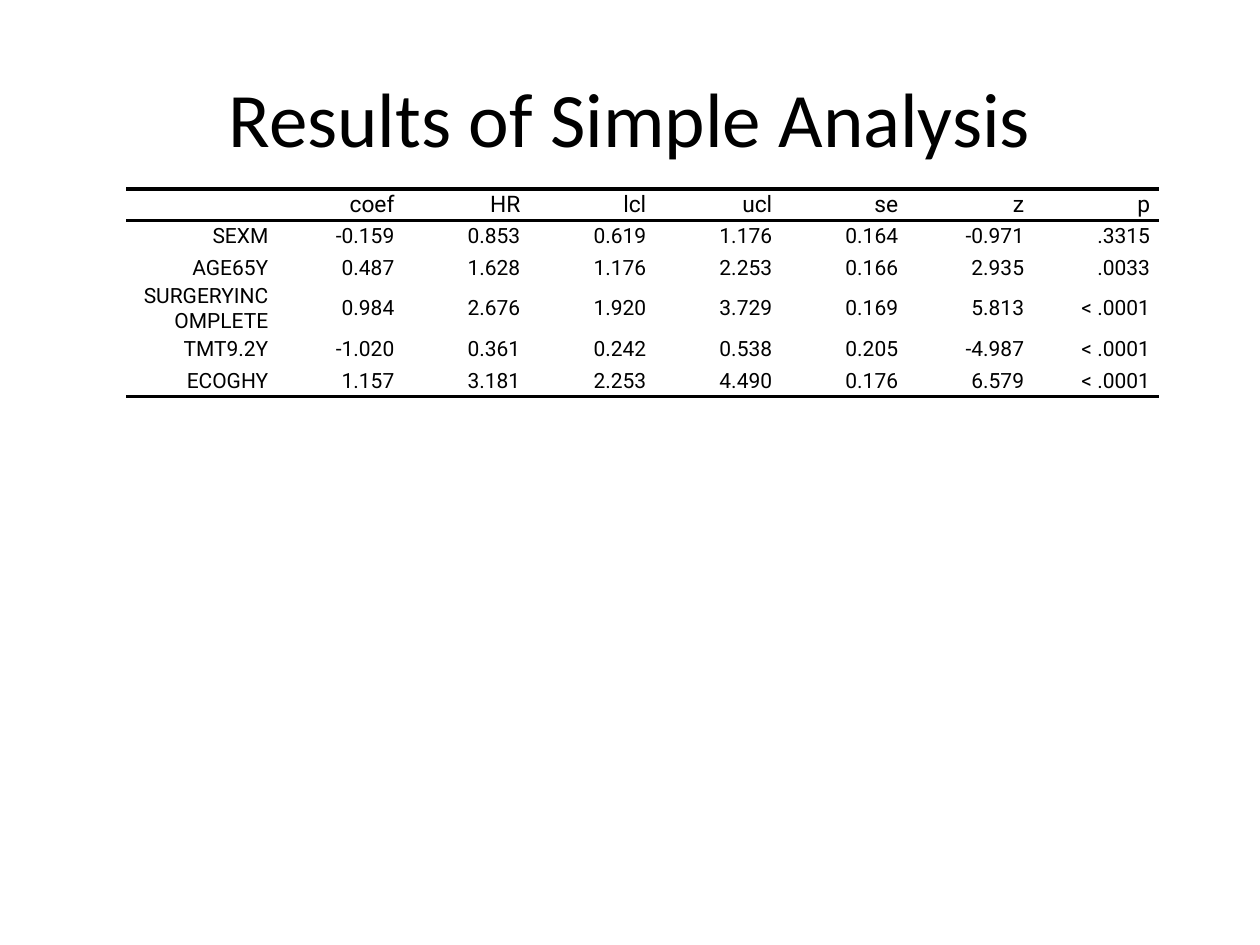
import pptx
import pptx.util
import pptx.dml.color
import pptx.enum.text
import pptx.oxml.ns
from dataclasses import dataclass
from lxml import etree

Inches = pptx.util.Inches
Pt = pptx.util.Pt
qn = pptx.oxml.ns.qn
Align = pptx.enum.text.PP_ALIGN
Anchor = pptx.enum.text.MSO_ANCHOR


@dataclass(frozen=True)
class Theme:
    ink: str = "000000"
    title: str = "Calibri"
    body: str = "Roboto"
    big: int = 44
    head: int = 13
    cell: int = 12
    rule: int = 2
    gap: int = 2
    pad: float = 0.07


theme = Theme()

HEAD = ["", "coef", "HR", "lcl", "ucl", "se", "z", "p"]
ROWS = [
    ["SEXM", "-0.159", "0.853", "0.619", "1.176", "0.164", "-0.971", ".3315"],
    ["AGE65Y", "0.487", "1.628", "1.176", "2.253", "0.166", "2.935", ".0033"],
    ["SURGERYINCOMPLETE", "0.984", "2.676", "1.920", "3.729", "0.169",
     "5.813", "< .0001"],
    ["TMT9.2Y", "-1.020", "0.361", "0.242", "0.538", "0.205", "-4.987",
     "< .0001"],
    ["ECOGHY", "1.157", "3.181", "2.253", "4.490", "0.176", "6.579",
     "< .0001"],
]


def add_run(para, text, font, size):
    run = para.add_run()
    run.text = text
    run.font.name = font
    run.font.size = Pt(size)
    run.font.color.rgb = pptx.dml.color.RGBColor.from_string(theme.ink)


def add_title(slide, box, text):
    frame = slide.shapes.add_textbox(*map(Inches, box)).text_frame
    frame.word_wrap = True
    frame.vertical_anchor = Anchor.MIDDLE
    para = frame.paragraphs[0]
    para.alignment = Align.CENTER
    add_run(para, text, theme.title, theme.big)


def set_edges(cell, ruled):
    """Rule the named edges and clear the others."""
    props = cell._tc.get_or_add_tcPr()
    for spot, edge in enumerate(("lnL", "lnR", "lnT", "lnB")):
        line = etree.Element(qn("a:" + edge))
        if edge in ruled:
            line.set("w", str(Pt(theme.rule)))
            fill = etree.SubElement(line, qn("a:solidFill"))
            etree.SubElement(fill, qn("a:srgbClr"), val=theme.ink)
        else:
            etree.SubElement(line, qn("a:noFill"))
        props.insert(spot, line)


def fill_cell(cell, text, size, ruled):
    cell.margin_left = cell.margin_right = 0
    cell.margin_top = cell.margin_bottom = 0
    cell.vertical_anchor = Anchor.MIDDLE
    cell.fill.background()
    set_edges(cell, ruled)
    para = cell.text_frame.paragraphs[0]
    para.alignment = Align.RIGHT
    para.space_before = para.space_after = Pt(theme.gap)
    # Side indents
    props = para._p.get_or_add_pPr()
    for side in ("marL", "marR"):
        props.set(side, str(Inches(theme.pad)))
    props.set("indent", "0")
    if text:
        add_run(para, text, theme.body, size)
    else:
        # Keeps the blank cell as low as its row
        etree.SubElement(para._p, qn("a:endParaRPr"), sz=str(size * 100))


def add_grid(slide, box, head, rows, first, high):
    left, top, wide, tall = box
    lines = [head] + rows
    table = slide.shapes.add_table(
        len(lines), len(head), *map(Inches, box)).table
    table.first_row = table.horz_banding = False
    # Column and row sizes
    rest = (wide - first) / (len(head) - 1)
    for spot, col in enumerate(table.columns):
        col.width = Inches(rest if spot else first)
    for row in table.rows:
        row.height = Inches(high)
    # Cells, with rules around the header and below the last row
    for r, line in enumerate(lines):
        size = theme.cell if r else theme.head
        ruled = {0: ("lnT", "lnB"), 1: ("lnT",),
                 len(rows): ("lnB",)}.get(r, ())
        for c, text in enumerate(line):
            fill_cell(table.cell(r, c), text, size, ruled)


def main():
    deck = pptx.Presentation()
    deck.slide_width, deck.slide_height = Inches(10), Inches(7.5)
    slide = deck.slides.add_slide(deck.slide_layouts[6])
    add_title(slide, (0.5, 0.3, 9, 1.25), "Results of Simple Analysis")
    add_grid(slide, (1, 1.5, 8.2, 1.5), HEAD, ROWS, first=1.2, high=0.25)
    deck.save("out.pptx")


main()
